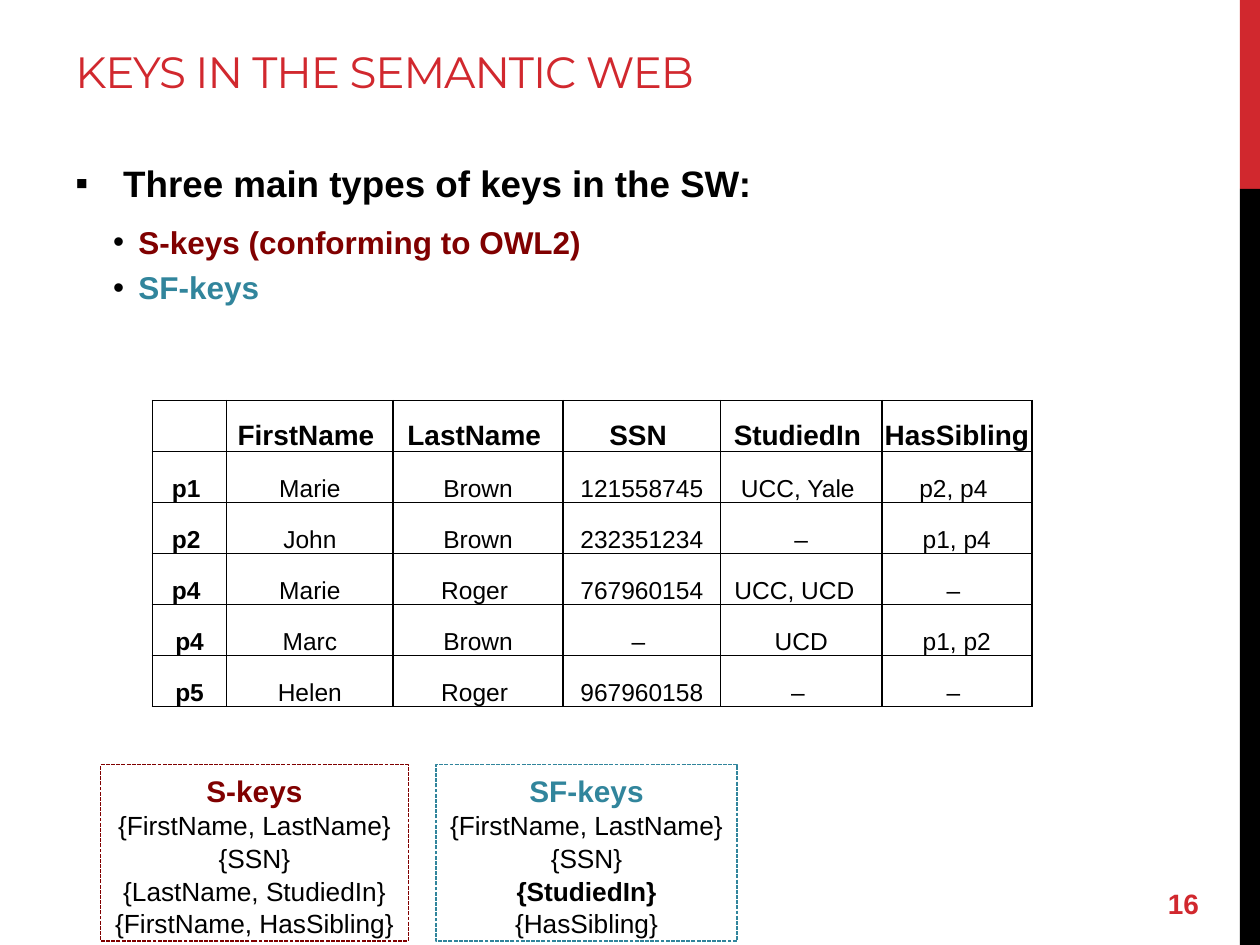
from dataclasses import dataclass
from typing import NamedTuple

from lxml.etree import SubElement
from pptx import Presentation
from pptx.dml.color import RGBColor
from pptx.enum.dml import MSO_LINE
from pptx.enum.shapes import MSO_SHAPE
from pptx.enum.text import MSO_ANCHOR, PP_ALIGN
from pptx.oxml.ns import qn
from pptx.util import Inches, Pt

# The slide is a grid of 100 columns by 75 rows of square units
UNIT = 0.1
RED, BLACK, MAROON, TEAL = "D1282E", "000000", "800000", "31859C"
LINE_SPACING = 1.04


class Box(NamedTuple):
    column: float
    row: float
    columns: float
    rows: float


@dataclass
class Style:
    size: float
    color: str = BLACK
    bold: bool = False
    font: str = "Arial"


@dataclass
class Bullet:
    text: str
    style: Style
    mark: str
    margin: float
    hanging: float
    before: float = 0
    after: float = 0


@dataclass
class KeyPanel:
    title: str
    color: str
    box: Box
    keys: list[str]
    emphasized: str = ""


def units(count: float) -> int:
    return Inches(count * UNIT)


def place(box: Box) -> list[int]:
    return [units(length) for length in box]


def rgb(color: str) -> RGBColor:
    return RGBColor.from_string(color)


def add_run(paragraph, text: str, style: Style):
    run = paragraph.add_run()
    run.text = text
    run.font.name = style.font
    run.font.size = Pt(style.size)
    run.font.bold = style.bold
    run.font.color.rgb = rgb(style.color)
    return run


def add_text_box(slide, box: Box, anchor=MSO_ANCHOR.TOP):
    frame = slide.shapes.add_textbox(*place(box)).text_frame
    frame.word_wrap = True
    frame.vertical_anchor = anchor
    return frame


def add_rectangle(slide, box: Box):
    shape = slide.shapes.add_shape(MSO_SHAPE.RECTANGLE, *place(box))
    shape.shadow.inherit = False
    return shape


def add_band(slide, box: Box, color: str) -> None:
    shape = add_rectangle(slide, box)
    shape.fill.solid()
    shape.fill.fore_color.rgb = rgb(color)
    shape.line.fill.background()


def next_paragraph(frame, index: int):
    return frame.add_paragraph() if index else frame.paragraphs[0]


def add_bullets(frame, bullets: list[Bullet]) -> None:
    for index, bullet in enumerate(bullets):
        paragraph = next_paragraph(frame, index)
        paragraph.line_spacing = LINE_SPACING
        paragraph.space_before = Pt(bullet.before)
        paragraph.space_after = Pt(bullet.after)
        properties = paragraph._p.get_or_add_pPr()
        properties.set("marL", str(units(bullet.margin)))
        properties.set("indent", str(-units(bullet.hanging)))
        color = SubElement(properties, qn("a:buClr"))
        SubElement(color, qn("a:srgbClr"), val=BLACK)
        SubElement(properties, qn("a:buFont"), typeface="Arial")
        SubElement(properties, qn("a:buChar"), char=bullet.mark)
        add_run(paragraph, bullet.text, bullet.style)


def add_borders(cell) -> None:
    properties = cell._tc.get_or_add_tcPr()
    for position, side in enumerate(("lnL", "lnR", "lnT", "lnB")):
        line = properties.makeelement(qn(f"a:{side}"), {"w": str(Pt(1))})
        fill = SubElement(line, qn("a:solidFill"))
        SubElement(fill, qn("a:srgbClr"), val=BLACK)
        properties.insert(position, line)


def add_data_table(slide, box: Box, widths: list[float], rows: list[list[str]]) -> None:
    table = slide.shapes.add_table(len(rows), len(widths), *place(box)).table
    for column, width in zip(table.columns, widths):
        column.width = units(width)
    for row_index, values in enumerate(rows):
        table.rows[row_index].height = units(box.rows / len(rows))
        for column_index, value in enumerate(values):
            cell = table.cell(row_index, column_index)
            cell.fill.background()
            cell.vertical_anchor = MSO_ANCHOR.BOTTOM
            cell.margin_left = cell.margin_right = cell.margin_top = Inches(0.01)
            cell.margin_bottom = 0
            add_borders(cell)
            if value:
                header = row_index == 0
                style = Style(16 if header else 14, bold=header or column_index == 0)
                paragraph = cell.text_frame.paragraphs[0]
                paragraph.alignment = PP_ALIGN.CENTER
                add_run(paragraph, value, style)


def add_key_panel(slide, panel: KeyPanel) -> None:
    shape = add_rectangle(slide, panel.box)
    shape.fill.background()
    shape.line.color.rgb = rgb(panel.color)
    shape.line.width = Pt(0.75)
    shape.line.dash_style = MSO_LINE.SQUARE_DOT
    frame = shape.text_frame
    frame.word_wrap = False
    frame.vertical_anchor = MSO_ANCHOR.TOP
    lines = [(panel.title, Style(17, panel.color, True))]
    lines += [(key, Style(15, bold=key == panel.emphasized)) for key in panel.keys]
    for index, (text, style) in enumerate(lines):
        paragraph = next_paragraph(frame, index)
        paragraph.alignment = PP_ALIGN.CENTER
        paragraph.line_spacing = LINE_SPACING
        add_run(paragraph, text, style)


BULLETS = [
    Bullet("Three main types of keys in the SW:", Style(21, BLACK, True), "▪", 3.8, 3.8, after=6),
    Bullet("S-keys (conforming to OWL2)", Style(18, MAROON, True), "•", 5, 2, before=3.6),
    Bullet("SF-keys", Style(18, TEAL, True), "•", 5, 2, before=3.6),
]
PEOPLE = [
    ["", "FirstName ", "LastName ", "SSN ", "StudiedIn ", "HasSibling"],
    ["p1 ", "Marie", "Brown", "121558745", "UCC, Yale ", "p2, p4 "],
    ["p2 ", "John", "Brown", "232351234", "–", "p1, p4"],
    ["p4 ", "Marie", "Roger ", "767960154", "UCC, UCD  ", "– "],
    ["p4", "Marc", "Brown", "– ", "UCD", "p1, p2"],
    ["p5", "Helen", "Roger ", "967960158", "– ", "– "],
]
PANELS = [
    KeyPanel("S-keys", MAROON, Box(8, 60.7, 24.4, 14),
             ["{FirstName, LastName}", "{SSN}", "{LastName, StudiedIn}", "{FirstName, HasSibling}"]),
    KeyPanel("SF-keys", TEAL, Box(34.6, 60.7, 23.9, 14),
             ["{FirstName, LastName}", "{SSN}", "{StudiedIn}", "{HasSibling}"], "{StudiedIn}"),
]


def main() -> None:
    presentation = Presentation()
    presentation.slide_width, presentation.slide_height = units(100), units(75)
    slide = presentation.slides.add_slide(presentation.slide_layouts[6])

    # Side bands
    add_band(slide, Box(98.4, 0, 1.6, 15), RED)
    add_band(slide, Box(98.4, 15, 1.6, 60), BLACK)

    # Title
    title = add_text_box(slide, Box(5, 1.7, 90.6, 8.4), MSO_ANCHOR.MIDDLE)
    title.margin_top = 0
    run = add_run(title.paragraphs[0], "KEYS IN THE SEMANTIC WEB", Style(25, RED, font="Montserrat"))
    run.font._element.set("spc", "-60")

    # Key types
    add_bullets(add_text_box(slide, Box(5, 12.1, 90.6, 15)), BULLETS)

    # Slide number
    number = add_text_box(slide, Box(91.7, 69.7, 8.3, 4), MSO_ANCHOR.MIDDLE)
    add_run(number.paragraphs[0], "16", Style(16, RED, True))

    # People table and the keys found in it
    add_data_table(slide, Box(12.1, 31.8, 69.8, 24.3), [5.9, 13.2, 13.5, 12.5, 12.8, 11.9], PEOPLE)
    for panel in PANELS:
        add_key_panel(slide, panel)

    presentation.save("out.pptx")


if __name__ == "__main__":
    main()
